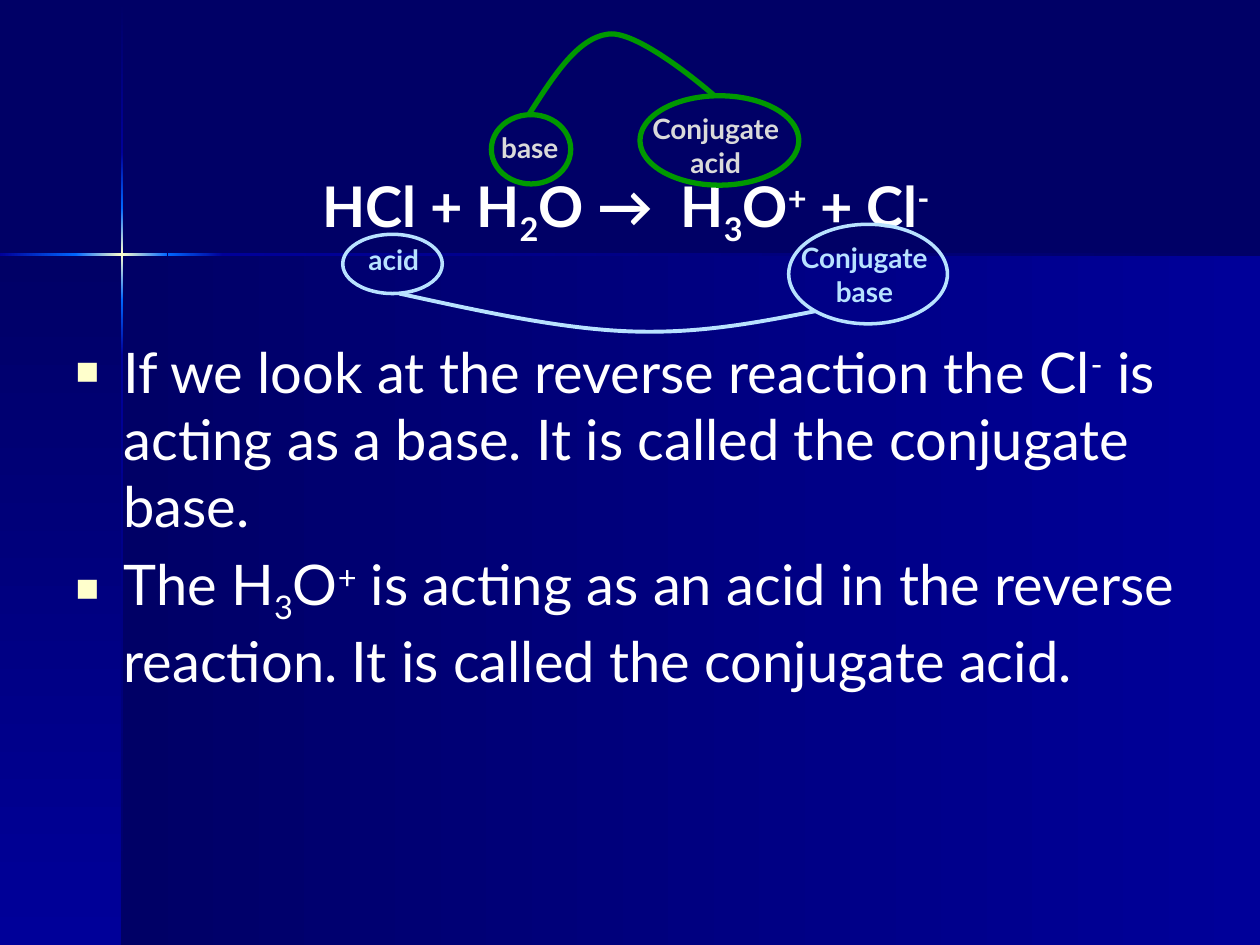
"""Build a slide on conjugate acid-base pairs in the reaction of HCl with water."""
import lxml.etree
import pptx
import pptx.dml.color
import pptx.enum.shapes
import pptx.enum.text
import pptx.oxml
import pptx.oxml.ns
import pptx.util

Inches, Pt, qn = pptx.util.Inches, pptx.util.Pt, pptx.oxml.ns.qn
SHAPES = pptx.enum.shapes.MSO_SHAPE
CENTER = pptx.enum.text.PP_ALIGN.CENTER
NAVY, BLUE, GLOW, CREAM = "000066", "000099", "0066FF", "FFFFCC"
WHITE, GREEN, SKY, GREY = "FFFFFF", "009900", "B8E2FF", "DADADA"


def rgb(color):
    return pptx.dml.color.RGBColor.from_string(color)


def add_run(paragraph, text, size, color, bold, baseline=0):
    run = paragraph.add_run()
    run.text = text
    run.font.name, run.font.size, run.font.bold = "Lato", Pt(size), bold
    run.font.color.rgb = rgb(color)
    if baseline:
        run.font._element.set("baseline", str(baseline * 1000))


presentation = pptx.Presentation()
presentation.slide_width, presentation.slide_height = Inches(10), Inches(7.5)
slide = presentation.slides.add_slide(presentation.slide_layouts[1])
slide.background.fill.solid()
slide.background.fill.fore_color.rgb = rgb(NAVY)
shapes = slide.shapes
shapes.title._element.getparent().remove(shapes.title._element)
body = slide.placeholders[1]

backdrop = [
    (0.97, 2.02, 9.03, 5.48, 0, [NAVY, BLUE]),
    (0, 2.02, 0.97, 5.48, 90, [NAVY, BLUE]),
    (0.96, 0.01, 0.02, 1.2, 90, [NAVY, BLUE]),
    (0.96, 2.82, 0.02, 4.68, 90, [BLUE, NAVY]),
    (1.77, 2.01, 8.23, 0.02, 0, [BLUE, NAVY]),
    (0.96, 2.38, 0.02, 0.44, 90, [GLOW, BLUE]),
    (0.96, 1.21, 0.02, 0.44, 90, [BLUE, GLOW]),
    (0.96, 1.65, 0.02, 0.73, 90, [GLOW, CREAM, GLOW]),
    (0, 2.01, 0.61, 0.02, 0, [BLUE, GLOW]),
    (1.33, 2.01, 0.44, 0.02, 0, [GLOW, BLUE]),
    (0.6, 2.01, 0.73, 0.02, 0, [GLOW, CREAM, GLOW]),
]
for left, top, width, height, angle, colors in backdrop:
    panel = shapes.add_shape(SHAPES.RECTANGLE, Inches(left), Inches(top), Inches(width), Inches(height))
    panel.shadow.inherit = False
    panel.line.fill.background()
    panel.fill.gradient()
    panel.fill.gradient_angle = -angle % 360
    stops = panel._element.spPr.find(".//" + qn("a:gsLst"))
    for stop in list(stops):
        stops.remove(stop)
    for index, color in enumerate(colors):
        position = 100000 * index // (len(colors) - 1)
        stop = lxml.etree.SubElement(stops, qn("a:gs"), pos=str(position))
        lxml.etree.SubElement(stop, qn("a:srgbClr"), val=color)

shapes._spTree.append(body._element)
body.left, body.top, body.width, body.height = Inches(0.5), Inches(1.31), Inches(9), Inches(5.39)
body.text_frame.auto_size = pptx.enum.text.MSO_AUTO_SIZE.NONE
statements = [
    (True, 0, [("HCl + H", 0), ("2", -25), ("O →  H", 0), ("3", -25), ("O", 0), ("+", 30),
               (" + Cl", 0), ("- ", 30)]),
    (False, 51, [("If we look at the reverse reaction the Cl", 0), ("-", 30),
                 (" is acting as a base. It is called the conjugate base.", 0)]),
    (False, 6.4, [("The H", 0), ("3", -25), ("O", 0), ("+", 30),
                  (" is acting as an acid in the reverse reaction. It is called the conjugate acid.", 0)]),
]
for index, (is_equation, space, pieces) in enumerate(statements):
    paragraph = body.text_frame.paragraphs[0] if index == 0 else body.text_frame.add_paragraph()
    properties = paragraph._p.get_or_add_pPr()
    properties.set("marL", str(Inches(0.38)))
    properties.set("indent", str(-Inches(0.38)))
    if is_equation:
        lxml.etree.SubElement(properties, qn("a:buNone"))
        paragraph.alignment = CENTER
    else:
        bullet_color = lxml.etree.SubElement(properties, qn("a:buClr"))
        lxml.etree.SubElement(bullet_color, qn("a:srgbClr"), val=CREAM)
        lxml.etree.SubElement(properties, qn("a:buSzPct"), val="70000")
        lxml.etree.SubElement(properties, qn("a:buChar"), char="■")
    paragraph.space_before = Pt(space)
    for text, baseline in pieces:
        add_run(paragraph, text, 32, WHITE, is_equation, baseline)

roles = [
    ("acid", SKY, 2.8, 1.88, 0.65, 0.37, 0),
    ("Conjugate base", SKY, 6.1, 1.86, 1.52, 0.64, 0.1),
    ("base", GREY, 3.88, 0.99, 0.65, 0.37, 0),
    ("Conjugate acid", GREY, 4.92, 0.84, 1.52, 0.64, 0.1),
]
for role, color, left, top, width, height, margin in roles:
    label = shapes.add_textbox(Inches(left), Inches(top), Inches(width), Inches(height))
    label.text_frame.word_wrap = True
    label.text_frame.margin_left = label.text_frame.margin_right = Inches(margin)
    paragraph = label.text_frame.paragraphs[0]
    paragraph.alignment = CENTER
    add_run(paragraph, role, 16, color, True)

pairs = [
    (GREEN, 3, 3, [(3.9, 0.91, 0.63, 0.55), (5.08, 0.76, 1.26, 0.71)],
     [(4.19, 0.92), (4.39, 0.61), (4.58, 0.3), (4.83, 0.27), (5.08, 0.24), (5.67, 0.76), (5.67, 0.76)]),
    (SKY, 2, 2.25, [(2.72, 1.86, 0.79, 0.47), (6.26, 1.78, 1.26, 0.79)],
     [(3.17, 2.33), (3.81, 2.47), (4.45, 2.61), (5, 2.63), (5.55, 2.65), (6.01, 2.56), (6.47, 2.47)]),
]
for color, ring_weight, link_weight, rings, curve in pairs:
    outlines = []
    for ring in rings:
        outlines.append((shapes.add_shape(SHAPES.OVAL, *map(Inches, ring)), ring_weight))
    builder = shapes.build_freeform(Inches(curve[0][0]), Inches(curve[0][1]))
    builder.add_line_segments([(Inches(x), Inches(y)) for x, y in curve[1:]], close=False)
    link = builder.convert_to_shape()
    outlines.append((link, link_weight))
    route = link._element.spPr.find(".//" + qn("a:path"))
    segments = route.findall(qn("a:lnTo"))
    for start in range(0, len(segments), 3):
        bezier = lxml.etree.SubElement(route, qn("a:cubicBezTo"))
        for segment in segments[start:start + 3]:
            bezier.append(segment[0])
            route.remove(segment)
    for outline, weight in outlines:
        outline.shadow.inherit = False
        outline.fill.background()
        outline.line.color.rgb = rgb(color)
        outline.line.width = Pt(weight)

presentation.save("out.pptx")
